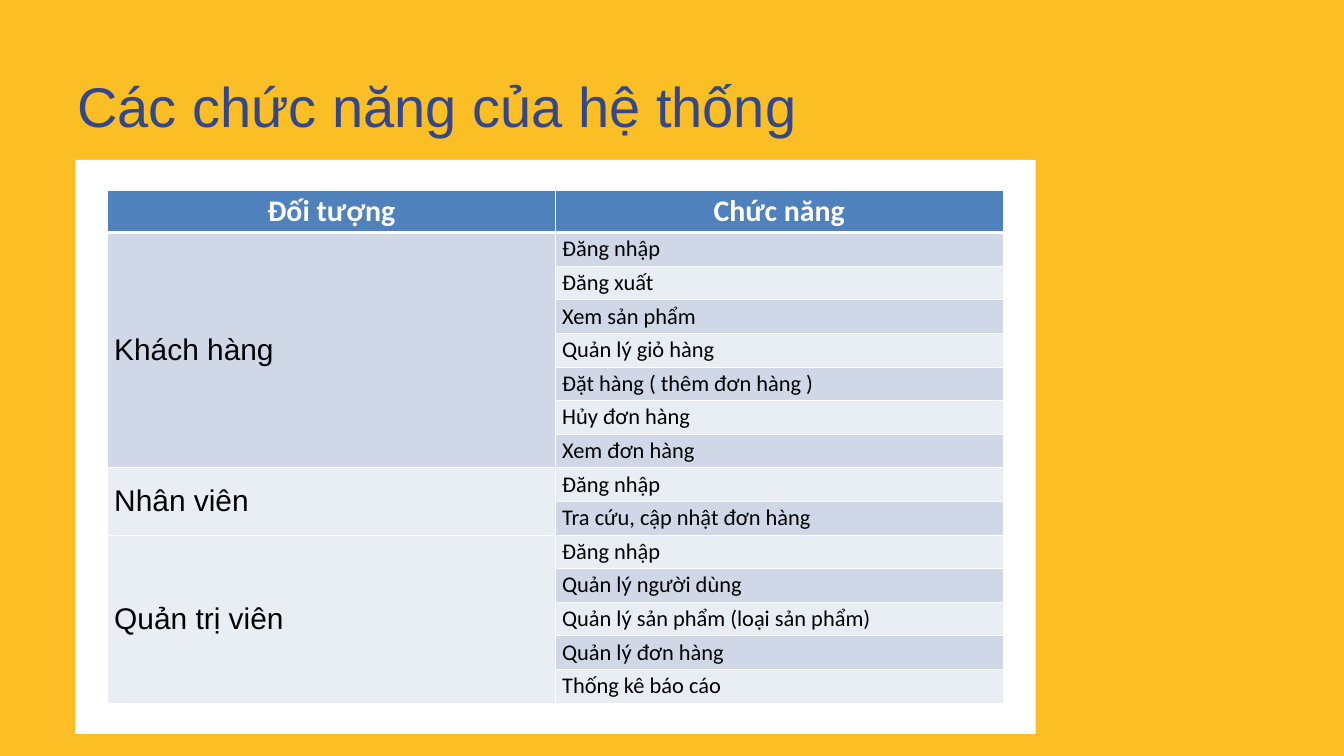
from dataclasses import dataclass

from lxml import etree
from pptx import Presentation
from pptx import util as u
from pptx.dml import color
from pptx.enum import shapes, text
from pptx.oxml import ns

PX = 9144


@dataclass(frozen=True)
class Theme:
    page: str = "FBBE25"
    card: str = "FFFFFF"
    title: str = "32478C"
    header: str = "4F81BD"
    header_text: str = "FFFFFF"
    body_text: str = "000000"
    rule: str = "FFFFFF"
    bands: tuple[str, str] = ("E9EDF4", "D0D8E8")
    heading_font: str = "Arial"
    table_font: str = "Calibri"
    title_size: int = 60
    large: int = 32
    small: int = 24


@dataclass(frozen=True)
class Box:
    left: int
    top: int
    width: int
    height: int

    def emu(self) -> tuple[int, int, int, int]:
        return self.left * PX, self.top * PX, self.width * PX, self.height * PX


@dataclass(frozen=True)
class Style:
    font: str
    size: int
    color: str
    bold: bool = False
    align: text.PP_ALIGN = text.PP_ALIGN.LEFT


@dataclass(frozen=True)
class Actor:
    name: str
    functions: tuple[str, ...]


THEME = Theme()
TITLE = Style(THEME.heading_font, THEME.title_size, THEME.title)
HEADER = Style(THEME.table_font, THEME.large, THEME.header_text, True, text.PP_ALIGN.CENTER)
ACTOR = Style(THEME.heading_font, THEME.large, THEME.body_text)
FUNCTION = Style(THEME.table_font, THEME.small, THEME.body_text)

PAGE_WIDTH, PAGE_HEIGHT = 2000, 1125
TITLE_BOX = Box(115, 85, 1854, 117)
CARD_BOX = Box(112, 238, 1429, 854)
TABLE_BOX = Box(160, 283, 1333, 763)
HEADER_HEIGHT, ROW_HEIGHT = 63, 50

HEADINGS = ("Đối tượng", "Chức năng")
ACTORS = (
    Actor("Khách hàng", (
        "Đăng nhập", "Đăng xuất", "Xem sản phẩm", "Quản lý giỏ hàng",
        "Đặt hàng ( thêm đơn hàng )", "Hủy đơn hàng", "Xem đơn hàng",
    )),
    Actor("Nhân viên", ("Đăng nhập", "Tra cứu, cập nhật đơn hàng")),
    Actor("Quản trị viên", (
        "Đăng nhập", "Quản lý người dùng", "Quản lý sản phẩm (loại sản phẩm)",
        "Quản lý đơn hàng", "Thống kê báo cáo",
    )),
)


def rgb(value: str) -> color.RGBColor:
    return color.RGBColor.from_string(value)


def write(frame, words: str, style: Style):
    para = frame.paragraphs[0]
    para.alignment = style.align
    span = para.add_run()
    span.text = words
    span.font.name = style.font
    span.font.size = u.Pt(style.size)
    span.font.bold = style.bold
    span.font.color.rgb = rgb(style.color)
    return para


def draw_title(page, words: str) -> None:
    title = page.shapes.title
    title.left, title.top, title.width, title.height = TITLE_BOX.emu()
    frame = title.text_frame
    frame.margin_left = frame.margin_right = frame.margin_top = frame.margin_bottom = 0
    frame.vertical_anchor = text.MSO_ANCHOR.TOP
    frame.word_wrap = True
    frame.auto_size = text.MSO_AUTO_SIZE.SHAPE_TO_FIT_TEXT
    write(frame, words, TITLE).line_spacing = u.Pt(87.2)


def draw_card(page) -> None:
    card = page.shapes.add_shape(shapes.MSO_SHAPE.RECTANGLE, *CARD_BOX.emu())
    card.shadow.inherit = False
    card.fill.solid()
    card.fill.fore_color.rgb = rgb(THEME.card)
    card.line.fill.background()


def set_borders(cell, top: int, bottom: int) -> None:
    properties = cell._tc.get_or_add_tcPr()
    for side, points in (("L", 1), ("R", 1), ("T", top), ("B", bottom)):
        line = etree.SubElement(properties, ns.qn(f"a:ln{side}"), w=str(u.Pt(points)))
        fill = etree.SubElement(line, ns.qn("a:solidFill"))
        etree.SubElement(fill, ns.qn("a:srgbClr"), val=THEME.rule)


def format_cell(cell, row: int) -> None:
    set_borders(cell, 3 if row == 1 else 1, 3 if row == 0 else 1)
    cell.fill.solid()
    cell.fill.fore_color.rgb = rgb(THEME.bands[row % 2] if row else THEME.header)
    cell.margin_left = cell.margin_right = 10 * PX
    cell.margin_top = cell.margin_bottom = 4 * PX
    cell.vertical_anchor = text.MSO_ANCHOR.MIDDLE


def draw_table(page) -> None:
    count = 1 + sum(len(actor.functions) for actor in ACTORS)
    table = page.shapes.add_table(count, len(HEADINGS), *TABLE_BOX.emu()).table
    table.horz_banding = False
    for index, row in enumerate(table.rows):
        row.height = (ROW_HEIGHT if index else HEADER_HEIGHT) * PX
        for cell in row.cells:
            format_cell(cell, index)
    for column, heading in enumerate(HEADINGS):
        write(table.cell(0, column).text_frame, heading, HEADER)
    first = 1
    for actor in ACTORS:
        last = first + len(actor.functions) - 1
        table.cell(first, 0).merge(table.cell(last, 0))
        write(table.cell(first, 0).text_frame, actor.name, ACTOR)
        for row, function in enumerate(actor.functions, first):
            write(table.cell(row, 1).text_frame, function, FUNCTION)
        first = last + 1


def main() -> None:
    deck = Presentation()
    deck.slide_width, deck.slide_height = PAGE_WIDTH * PX, PAGE_HEIGHT * PX
    page = deck.slides.add_slide(deck.slide_layouts.get_by_name("Title Only"))
    page.background.fill.solid()
    page.background.fill.fore_color.rgb = rgb(THEME.page)
    draw_title(page, "Các chức năng của hệ thống")
    draw_card(page)
    draw_table(page)
    deck.save("out.pptx")


if __name__ == "__main__":
    main()
